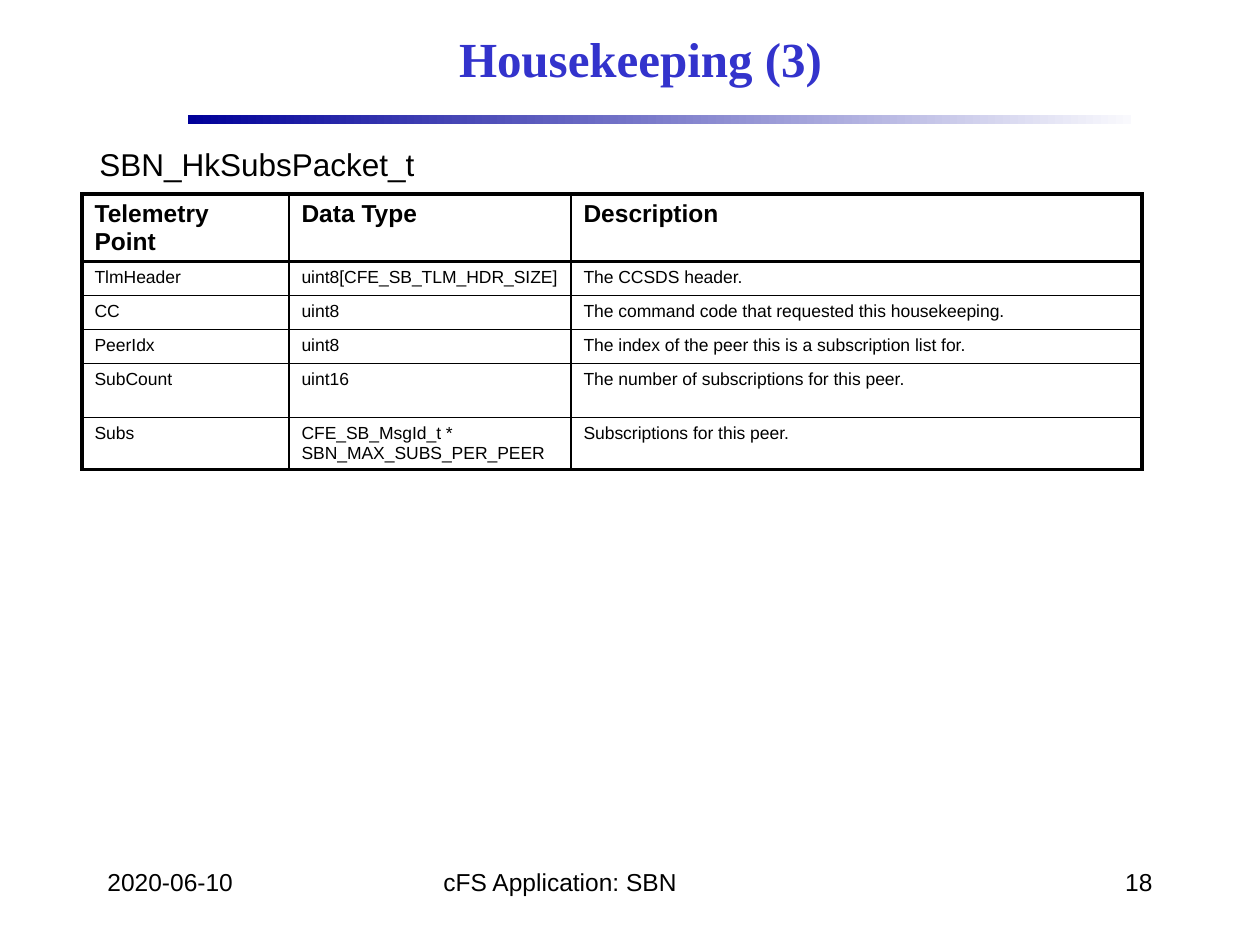
from pptx import Presentation
from pptx.dml.color import RGBColor
from pptx.enum.shapes import MSO_SHAPE
from pptx.enum.text import MSO_ANCHOR, MSO_AUTO_SIZE, PP_ALIGN
from pptx.oxml import parse_xml
from pptx.oxml.ns import nsdecls
from pptx.util import Pt

PIXEL = 914400 // 126
BLACK = "000000"


def color(value):
    return RGBColor.from_string(value)


def format_text(text_frame, font_name, size, value=BLACK, bold=False, align=PP_ALIGN.LEFT):
    for paragraph in text_frame.paragraphs:
        paragraph.alignment = align
        for run in paragraph.runs:
            run.font.name = font_name
            run.font.size = Pt(size)
            run.font.bold = bold
            run.font.color.rgb = color(value)


presentation = Presentation()
presentation.slide_width = 1260 * PIXEL
presentation.slide_height = 945 * PIXEL
slide = presentation.slides.add_slide(presentation.slide_layouts[5])

# Title
title = slide.shapes.title
title.left, title.top, title.width, title.height = [n * PIXEL for n in (189, 10, 903, 95)]
title.text_frame.text = "Housekeeping (3)"
title.text_frame.vertical_anchor = MSO_ANCHOR.MIDDLE
format_text(title.text_frame, "Times New Roman", 28, "3333CC", True, PP_ALIGN.CENTER)

# Fading rule under the title
rule = slide.shapes.add_shape(
    MSO_SHAPE.RECTANGLE, 188 * PIXEL, 115 * PIXEL, 943 * PIXEL, 9 * PIXEL)
rule.shadow.inherit = False
rule.line.fill.background()
rule.fill.gradient()
rule.fill.gradient_angle = 0
for stop, position, value in zip(rule.fill.gradient_stops, (0, 1), ("000099", "F9F9FD")):
    stop.position = position
    stop.color.rgb = color(value)

# Telemetry table
rows = [
    ("Telemetry Point", "Data Type", "Description"),
    ("TlmHeader", "uint8[CFE_SB_TLM_HDR_SIZE]", "The CCSDS header."),
    ("CC", "uint8", "The command code that requested this housekeeping."),
    ("PeerIdx", "uint8", "The index of the peer this is a subscription list for."),
    ("SubCount", "uint16", "The number of subscriptions for this peer."),
    ("Subs", "CFE_SB_MsgId_t * SBN_MAX_SUBS_PER_PEER", "Subscriptions for this peer."),
]
column_widths = (207, 282, 571)
row_heights = (42, 34, 34, 34, 54, 34)
last_row, last_column = len(rows) - 1, len(column_widths) - 1
table = slide.shapes.add_table(
    len(rows), len(column_widths), 82 * PIXEL, 194 * PIXEL,
    sum(column_widths) * PIXEL, sum(row_heights) * PIXEL).table
table.first_row = False
table.horz_banding = False
for column, width in zip(table.columns, column_widths):
    column.width = width * PIXEL
for row, height in zip(table.rows, row_heights):
    row.height = height * PIXEL

for i, texts in enumerate(rows):
    for j, text in enumerate(texts):
        cell = table.cell(i, j)
        cell.text_frame.text = text
        format_text(cell.text_frame, "Arial", 14 if i == 0 else 10, bold=i == 0)
        # Heavy lines frame the table and close the header row
        heavy_sides = {
            "L": j == 0,
            "R": j == last_column,
            "T": i <= 1,
            "B": i in (0, last_row),
        }
        properties = cell._tc.get_or_add_tcPr()
        for side, heavy in heavy_sides.items():
            properties.append(parse_xml(
                f'<a:ln{side} {nsdecls("a")} w="{Pt(2.25 if heavy else 1)}">'
                f'<a:solidFill><a:srgbClr val="{BLACK}"/></a:solidFill></a:ln{side}>'))
        cell.fill.solid()
        cell.fill.fore_color.rgb = color("FFFFFF")

# Packet name and footer
labels = [
    ("SBN_HkSubsPacket_t", 87, 139, 344, 50, 18, PP_ALIGN.LEFT),
    ("2020-06-10", 95, 861, 262, 63, 14, PP_ALIGN.LEFT),
    ("cFS Application: SBN", 431, 861, 399, 63, 14, PP_ALIGN.LEFT),
    ("18", 903, 861, 262, 63, 14, PP_ALIGN.RIGHT),
]
for text, left, top, width, height, size, align in labels:
    label = slide.shapes.add_textbox(
        left * PIXEL, top * PIXEL, width * PIXEL, height * PIXEL)
    label.text_frame.text = text
    label.text_frame.word_wrap = True
    label.text_frame.auto_size = MSO_AUTO_SIZE.NONE
    format_text(label.text_frame, "Arial", size, align=align)

presentation.save("out.pptx")
